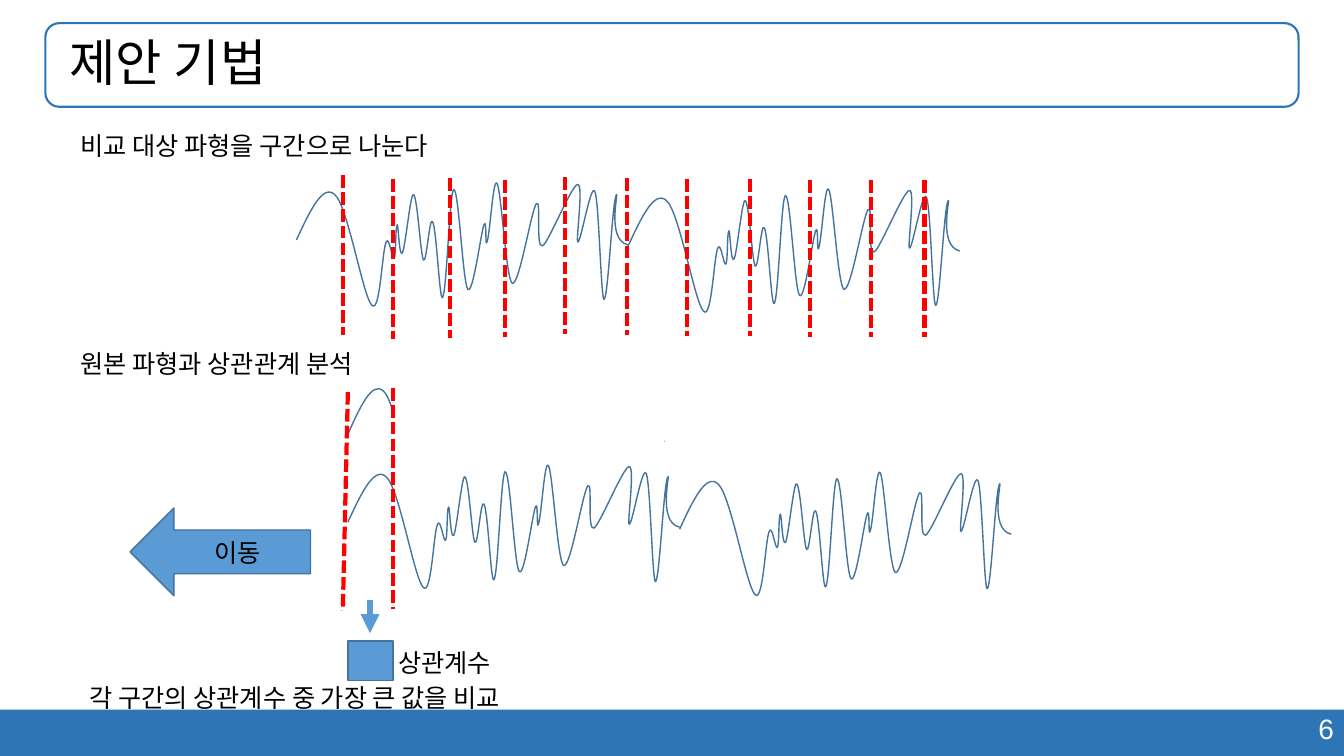
from dataclasses import dataclass

from pptx import Presentation
from pptx.dml.color import RGBColor
from pptx.enum.dml import MSO_LINE
from pptx.enum.shapes import MSO_CONNECTOR, MSO_SHAPE
from pptx.enum.text import MSO_ANCHOR, MSO_AUTO_SIZE, PP_ALIGN
from pptx.oxml.ns import qn
from pptx.oxml.xmlchemy import OxmlElement
from pptx.shapes.autoshape import Shape
from pptx.slide import Slide
from pptx.util import Emu, Pt

PX = 9144
COLORS = {
    "white": "FFFFFF",
    "black": "000000",
    "band": "2E75B6",
    "accent": "5B9BD5",
    "outline": "43739E",
    "divider": "FF0000",
}
WAVE_WIDTH = 329
WAVE_CURVES = (
    (13, -28, 26, -56, 38, -45), (51, -34, 66, 57, 75, 65),
    (83, 73, 85, 10, 89, 2), (92, -5, 95, 21, 97, 18),
    (99, 15, 98, -14, 100, -15), (101, -16, 102, 18, 105, 13),
    (108, 8, 113, -46, 116, -45), (120, -44, 123, 15, 126, 20),
    (129, 24, 132, -24, 135, -18), (139, -12, 142, 63, 145, 57),
    (149, 52, 152, -49, 156, -50), (161, -51, 165, 43, 170, 49),
    (175, 55, 183, -7, 186, -15), (189, -23, 187, 9, 189, 2),
    (192, -5, 195, -63, 199, -56), (203, -50, 208, 39, 214, 43),
    (221, 46, 233, -30, 238, -36), (243, -42, 237, 9, 244, 6),
    (250, 3, 273, -55, 279, -55), (285, -56, 277, 1, 279, 2),
    (282, 4, 292, -58, 296, -48), (300, -39, 302, 58, 305, 59),
    (309, 60, 313, -34, 317, -44), (321, -53, 306, 0, 329, 5),
)
WAVE_TOP = min(curve[5] for curve in WAVE_CURVES)


@dataclass(frozen=True)
class Block:
    kind: MSO_SHAPE
    left: int
    top: int
    width: int
    height: int
    fill: str | None
    outline: str | None
    weight: float = 1
    rotation: int = 0


@dataclass(frozen=True)
class Wave:
    left: int
    top: int
    width: int = WAVE_WIDTH


@dataclass(frozen=True)
class Stroke:
    start_x: int
    start_y: int
    end_x: int
    end_y: int
    color: str = "divider"
    weight: float = 3
    dashed: bool = True
    arrow: bool = False


@dataclass(frozen=True)
class Label:
    text: str
    left: int
    top: int
    width: int
    height: int = 40
    size: int = 18
    color: str = "black"
    align: PP_ALIGN = PP_ALIGN.LEFT
    wrap: bool = True


FRAME = (
    Block(MSO_SHAPE.RECTANGLE, 0, 704, 1333, 46, "band", None),
    Block(MSO_SHAPE.ROUNDED_RECTANGLE, 45, 23, 1243, 83, None, "band", 1.5),
)
SEGMENT = Wave(344, 433, 315)
SEGMENT_COVER = Block(MSO_SHAPE.RECTANGLE, 390, 364, 268, 137, "white", "white")
WAVES = (Wave(294, 238), Wave(623, 244), Wave(345, 518), Wave(674, 525))
MARKERS = (
    Block(MSO_SHAPE.RIGHT_ARROW, 129, 504, 179, 87, "accent", "outline", rotation=180),
    Block(MSO_SHAPE.RECTANGLE, 345, 636, 45, 39, "accent", "outline"),
)
DIVIDERS = (
    (340, 174, 332), (390, 178, 336), (446, 177, 335), (501, 179, 334),
    (560, 176, 331), (622, 177, 332), (681, 178, 333), (744, 178, 333),
    (803, 179, 334), (864, 179, 334), (917, 179, 334),
)
STROKES = (
    *(Stroke(x, top, x, bottom) for x, top, bottom in DIVIDERS),
    Stroke(390, 385, 390, 604),
    Stroke(345, 389, 340, 606),
    Stroke(367, 595, 367, 628, "accent", 4.5, dashed=False, arrow=True),
)
LABELS = (
    Label("6", 943, 701, 390, 44, 20, "white", PP_ALIGN.RIGHT),
    Label("비교 대상 파형을 구간으로 나눈다", 70, 124, 667),
    Label("원본 파형과 상관관계 분석", 70, 341, 667, 71),
    Label("각 구간의 상관계수 중 가장 큰 값을 비교", 79, 672, 473, wrap=False),
    Label("이동", 203, 528, 91),
    Label("상관계수", 385, 637, 144),
)


def px(length: int) -> Emu:
    return Emu(length * PX)


def rgb(name: str) -> RGBColor:
    return RGBColor.from_string(COLORS[name])


def apply_format(target: object, values: dict[str, object]) -> None:
    for name, value in values.items():
        setattr(target, name, value)


def paint(shape: Shape, fill: str | None, outline: str | None, weight: float) -> None:
    shape.shadow.inherit = False
    for surface, color in ((shape.fill, fill), (shape.line.fill, outline)):
        if color is None:
            surface.background()
        else:
            surface.solid()
            surface.fore_color.rgb = rgb(color)
    if outline:
        shape.line.width = Pt(weight)


def draw_block(page: Slide, block: Block) -> None:
    shape = page.shapes.add_shape(
        block.kind, px(block.left), px(block.top), px(block.width), px(block.height)
    )
    shape.rotation = block.rotation
    paint(shape, block.fill, block.outline, block.weight)


def draw_wave(page: Slide, wave: Wave) -> None:
    builder = page.shapes.build_freeform(wave.left, wave.top, scale=PX)
    knots = [(wave.left + curve[4], wave.top + curve[5]) for curve in WAVE_CURVES]
    builder.add_line_segments(knots, close=False)
    shape = builder.convert_to_shape()
    segments = list(shape._element.iter(qn("a:lnTo")))
    for segment, curve in zip(segments, WAVE_CURVES):
        bezier = OxmlElement("a:cubicBezTo")
        for x, y in zip(curve[::2], curve[1::2]):
            point = OxmlElement("a:pt")
            point.set("x", str(x))
            point.set("y", str(y - WAVE_TOP))
            bezier.append(point)
        segment.getparent().replace(segment, bezier)
    shape.width = px(wave.width)
    paint(shape, None, "outline", 1)


def draw_stroke(page: Slide, stroke: Stroke) -> None:
    connector = page.shapes.add_connector(
        MSO_CONNECTOR.STRAIGHT,
        px(stroke.start_x), px(stroke.start_y), px(stroke.end_x), px(stroke.end_y),
    )
    connector.line.color.rgb = rgb(stroke.color)
    connector.line.width = Pt(stroke.weight)
    if stroke.dashed:
        connector.line.dash_style = MSO_LINE.SQUARE_DOT
    properties = connector._element.spPr
    if stroke.arrow:
        tail = OxmlElement("a:tailEnd")
        tail.set("type", "triangle")
        properties.find(qn("a:ln")).append(tail)
    properties.append(OxmlElement("a:effectLst"))


def write_label(box: Shape, label: Label) -> None:
    apply_format(box, {
        "left": px(label.left), "top": px(label.top),
        "width": px(label.width), "height": px(label.height),
    })
    frame = box.text_frame
    apply_format(frame, {"word_wrap": label.wrap, "auto_size": MSO_AUTO_SIZE.NONE})
    para = frame.paragraphs[0]
    para.alignment = label.align
    span = para.add_run()
    span.text = label.text
    apply_format(span.font, {"name": "Arial", "size": Pt(label.size)})
    span.font.color.rgb = rgb(label.color)


def main() -> None:
    deck = Presentation()
    apply_format(deck, {"slide_width": px(1333), "slide_height": px(750)})
    page = deck.slides.add_slide(deck.slide_layouts[5])
    for block in FRAME:
        draw_block(page, block)
    title = page.shapes.title
    write_label(title, Label("제안 기법", 45, 23, 1243, 83, 36))
    apply_format(title.text_frame, {
        "margin_left": px(24), "vertical_anchor": MSO_ANCHOR.MIDDLE,
    })
    title.text_frame.paragraphs[0].line_spacing = 0.9
    for wave in (SEGMENT,):
        draw_wave(page, wave)
    draw_block(page, SEGMENT_COVER)
    for wave in WAVES:
        draw_wave(page, wave)
    for block in MARKERS:
        draw_block(page, block)
    for stroke in STROKES:
        draw_stroke(page, stroke)
    for label in LABELS:
        write_label(page.shapes.add_textbox(0, 0, 0, 0), label)
    deck.save("out.pptx")


if __name__ == "__main__":
    main()
